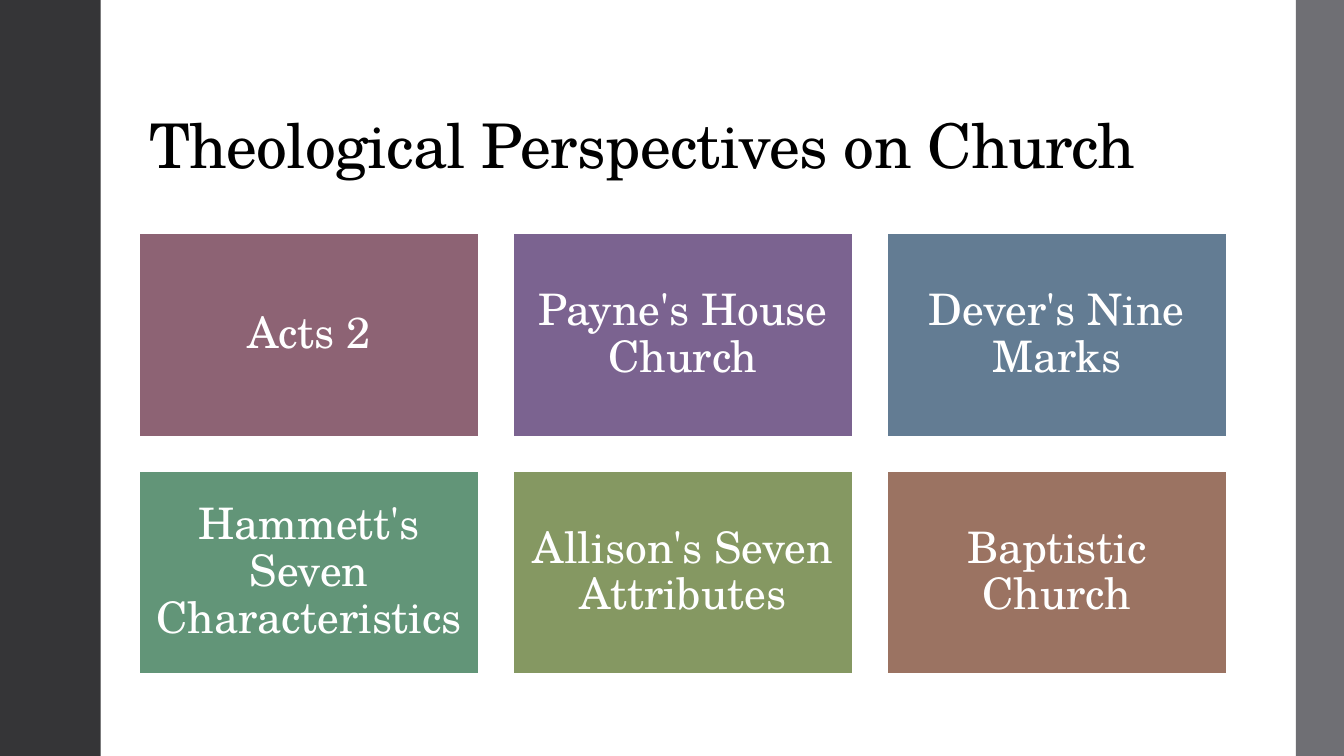
from pptx import Presentation
from pptx.dml.color import RGBColor
from pptx.enum.shapes import MSO_SHAPE as Shape
from pptx.enum.text import MSO_ANCHOR as Anchor, PP_ALIGN as Align
from pptx.util import Cm, Pt

FONT = "TeX Gyre Schola"
COLORS = {
    "black": "000000",
    "white": "FFFFFF",
    "charcoal": "353537",
    "gray": "6F6F74",
    "rose": "8D6374",
    "violet": "7B6390",
    "blue": "637C93",
    "green": "629578",
    "olive": "859862",
    "brown": "9B7362",
}
PERSPECTIVES = [
    ("Acts 2", "rose"),
    ("Payne's House Church", "violet"),
    ("Dever's Nine Marks", "blue"),
    ("Hammett's Seven Characteristics", "green"),
    ("Allison's Seven Attributes", "olive"),
    ("Baptistic Church", "brown"),
]
SLIDE_WIDTH, SLIDE_HEIGHT = 33.87, 19.05
LEFT, TILES_TOP = 3.51, 5.87
TILE_WIDTH, TILE_HEIGHT = 8.56, 5.13
GAP = 0.86
COLUMNS = 3


def color(name):
    return RGBColor.from_string(COLORS[name])


def write_text(shape, text, size, color_name, align=Align.LEFT,
               anchor=Anchor.MIDDLE, inset=None, tracking=None):
    frame = shape.text_frame
    frame.word_wrap = True
    frame.vertical_anchor = anchor
    if inset is not None:
        frame.margin_left = frame.margin_right = Cm(inset)
        frame.margin_top = frame.margin_bottom = Cm(inset)
    paragraph = frame.paragraphs[0]
    paragraph.alignment = align
    paragraph.line_spacing = 0.9
    run = paragraph.add_run()
    run.text = text
    run.font.name = FONT
    run.font.size = Pt(size)
    run.font.color.rgb = color(color_name)
    if tracking is not None:
        run._r.get_or_add_rPr().set("spc", str(round(tracking * 100)))


def add_rectangle(slide, left, top, width, height, fill, line=None):
    shape = slide.shapes.add_shape(
        Shape.RECTANGLE, Cm(left), Cm(top), Cm(width), Cm(height))
    shape.shadow.inherit = False
    shape.fill.solid()
    shape.fill.fore_color.rgb = color(fill)
    if line:
        shape.line.color.rgb = color(line)
        shape.line.width = Pt(1.35)
    else:
        shape.line.fill.background()
    return shape


def add_side_bars(slide):
    add_rectangle(slide, 0, 0, 2.54, SLIDE_HEIGHT, "charcoal")
    right_bar = 32.66
    add_rectangle(slide, right_bar, 0, SLIDE_WIDTH - right_bar, SLIDE_HEIGHT, "gray")


def add_title(slide, text):
    title = slide.shapes.add_textbox(Cm(LEFT), Cm(1.02), Cm(27.38), Cm(3.68))
    write_text(title, text, 44, "black", anchor=Anchor.BOTTOM, tracking=-0.5)


def add_tiles(slide):
    for index, (text, fill) in enumerate(PERSPECTIVES):
        row, column = divmod(index, COLUMNS)
        left = LEFT + column * (TILE_WIDTH + GAP)
        top = TILES_TOP + row * (TILE_HEIGHT + GAP)
        tile = add_rectangle(slide, left, top, TILE_WIDTH, TILE_HEIGHT, fill, line="white")
        write_text(tile, text, 31, "white", align=Align.CENTER, inset=0.33)


def main():
    presentation = Presentation()
    presentation.slide_width = Cm(SLIDE_WIDTH)
    presentation.slide_height = Cm(SLIDE_HEIGHT)
    slide = presentation.slides.add_slide(presentation.slide_layouts[6])
    add_side_bars(slide)
    add_title(slide, "Theological Perspectives on Church")
    add_tiles(slide)
    presentation.save("out.pptx")


if __name__ == "__main__":
    main()
